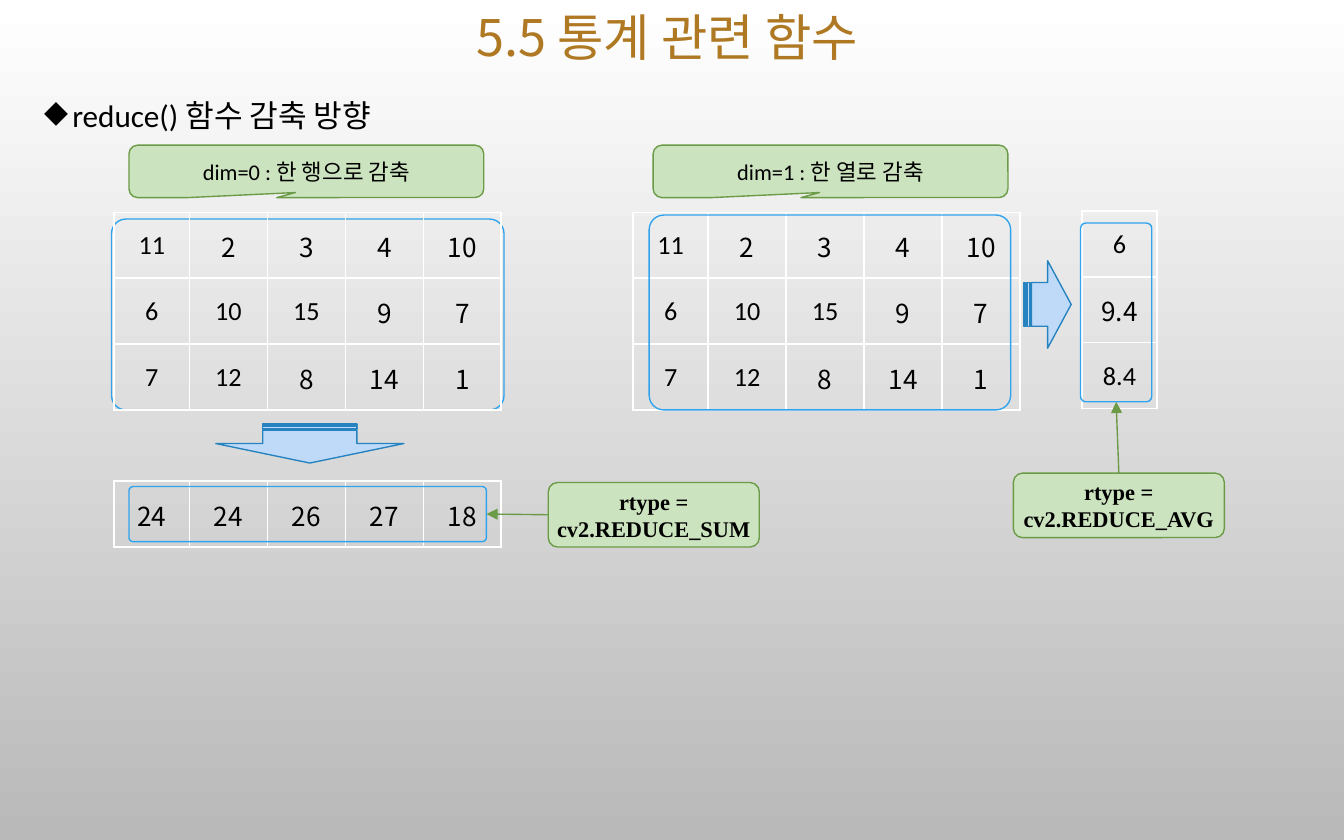
import pptx
import pptx.util
import pptx.dml.color
import pptx.enum.shapes
import pptx.enum.text
import pptx.oxml.ns
from lxml import etree

Inches = pptx.util.Inches
Pt = pptx.util.Pt
SHAPE = pptx.enum.shapes.MSO_SHAPE
CENTER = pptx.enum.text.PP_ALIGN.CENTER
MIDDLE = pptx.enum.text.MSO_ANCHOR.MIDDLE
qn = pptx.oxml.ns.qn
color = pptx.dml.color.RGBColor.from_string

GOTHIC = "Noto Sans CJK KR"
GREEN, GREEN_LINE = "CCE3BF", "6B9B46"
BLUE, BLUE_LINE = "BFDAF9", "2683BF"
FRAME_LINE = "2FA3EE"

deck = pptx.Presentation()
deck.slide_width, deck.slide_height = Inches(10), Inches(6.25)
page = deck.slides.add_slide(deck.slide_layouts[6])
backdrop = page.background.fill
backdrop.gradient()
backdrop.gradient_angle = 270
for stop, shade in zip(backdrop.gradient_stops, ("FFFFFF", "B9B9B9")):
    stop.color.rgb = color(shade)


def write(para, text, font, size, bold=False, shade="000000"):
    para.text = text
    para.font.name = font
    para.font.size = Pt(size)
    para.font.bold = bold
    para.font.color.rgb = color(shade)


def add_panel(kind, place, adjustments, line, fill=None):
    panel = page.shapes.add_shape(kind, *map(Inches, place))
    panel.shadow.inherit = False
    for index, value in enumerate(adjustments):
        panel.adjustments[index] = value
    if fill:
        panel.fill.solid()
        panel.fill.fore_color.rgb = color(fill)
    else:
        panel.fill.background()
    panel.line.color.rgb = color(line)
    panel.line.width = Pt(0.75)
    return panel


title = page.shapes.add_textbox(Inches(0.23), Inches(0.03), Inches(9.47), Inches(0.54))
title.text_frame.word_wrap = True
title.text_frame.vertical_anchor = MIDDLE
para = title.text_frame.paragraphs[0]
para.alignment = CENTER
para.line_spacing = 0.9
write(para, "5.5 통계 관련 함수", GOTHIC, 27, shade="AF7823")

body = page.shapes.add_textbox(Inches(0.23), Inches(0.61), Inches(9.47), Inches(5.6))
body.text_frame.word_wrap = True
para = body.text_frame.paragraphs[0]
para.line_spacing = 1.2
properties = para._p.get_or_add_pPr()
properties.set("marL", str(Inches(0.21)))
properties.set("indent", str(Inches(-0.21)))
etree.SubElement(properties, qn("a:buChar")).set("char", "◆")
write(para, "reduce() 함수 감축 방향", "Calibri", 16.7)

add_panel(SHAPE.ROUNDED_RECTANGLE, (0.83, 1.63, 2.92, 1.42), [0.075], FRAME_LINE)

matrix = [[11, 2, 3, 4, 10], [6, 10, 15, 9, 7], [7, 12, 8, 14, 1]]
grids = [
    (0.85, 1.58, matrix, (1, 3, 2)),
    (0.85, 3.58, [[24, 24, 26, 27, 18]], (0,)),
    (4.71, 1.58, matrix, (1, 3, 2)),
    (8.05, 1.57, [[6], [9.4], [8.4]], (1, 0, 1)),
]
for left, top, values, calibri_counts in grids:
    widths = [0.56] + [0.58] * (len(values[0]) - 1)
    table = page.shapes.add_table(
        len(values), len(widths), Inches(left), Inches(top),
        Inches(sum(widths)), Inches(0.49 * len(values))).table
    table.first_row = table.horz_banding = False
    for column, width in zip(table.columns, widths):
        column.width = Inches(width)
    for r, row in enumerate(values):
        table.rows[r].height = Inches(0.49)
        for c, value in enumerate(row):
            cell = table.cell(r, c)
            cell.margin_left = cell.margin_right = cell.margin_top = Inches(0.01)
            cell.margin_bottom = 0
            cell.vertical_anchor = MIDDLE
            para = cell.text_frame.paragraphs[0]
            para.alignment = CENTER
            write(para, str(value), "Calibri" if c < calibri_counts[r] else GOTHIC, 14)
            borders = cell._tc.get_or_add_tcPr()
            for side in ("a:lnL", "a:lnR", "a:lnT", "a:lnB"):
                border = etree.SubElement(borders, qn(side), w=str(Pt(1)))
                solid = etree.SubElement(border, qn("a:solidFill"))
                etree.SubElement(solid, qn("a:srgbClr"), val="FFFFFF")
            cell.fill.background()

for left, text in ((0.96, "dim=0 : 한 행으로 감축"), (4.86, "dim=1 : 한 열로 감축")):
    callout = add_panel(SHAPE.ROUNDED_RECTANGULAR_CALLOUT, (left, 1.08, 2.64, 0.39),
                        [-0.031, 0.405, 0.167], GREEN_LINE, GREEN)
    callout.text_frame.vertical_anchor = MIDDLE
    para = callout.text_frame.paragraphs[0]
    para.alignment = CENTER
    write(para, text, "Calibri", 12)

add_panel(SHAPE.ROUNDED_RECTANGLE, (4.83, 1.6, 2.69, 1.45), [0.075], FRAME_LINE)

results = [
    ((0.96, 3.62, 2.66, 0.41), 3, (4.08, 3.59), 1, "cv2.REDUCE_SUM"),
    ((8.04, 1.66, 0.53, 1.33), 2, (7.54, 3.52), 0, "cv2.REDUCE_AVG"),
]
for place, frame_side, corner, label_side, name in results:
    frame = add_panel(SHAPE.ROUNDED_RECTANGLE, place, [0.075], FRAME_LINE)
    label = add_panel(SHAPE.ROUNDED_RECTANGLE, (*corner, 1.57, 0.48), [0.142],
                      GREEN_LINE, GREEN)
    text_frame = label.text_frame
    text_frame.vertical_anchor = MIDDLE
    text_frame.margin_left = text_frame.margin_right = Inches(0.04)
    text_frame.add_paragraph()
    for para, text in zip(text_frame.paragraphs, ("rtype =", name)):
        para.alignment = CENTER
        write(para, text, "Times New Roman", 12, bold=True)
    pointer = page.shapes.add_connector(
        pptx.enum.shapes.MSO_CONNECTOR.STRAIGHT, 0, 0, 0, 0)
    pointer.begin_connect(label, label_side)
    pointer.end_connect(frame, frame_side)
    pointer.line.color.rgb = color(GREEN_LINE)
    pointer.line.width = Pt(0.75)
    etree.SubElement(pointer.line._get_or_add_ln(), qn("a:tailEnd"), type="triangle")
    etree.SubElement(pointer._element.spPr, qn("a:effectLst"))

for place, angle in (((2.16, 2.6, 0.29, 1.4), 90), ((7.62, 1.94, 0.35, 0.65), 0)):
    arrow = add_panel(SHAPE.STRIPED_RIGHT_ARROW, place, [], BLUE_LINE, BLUE)
    arrow.rotation = angle

deck.save("out.pptx")
